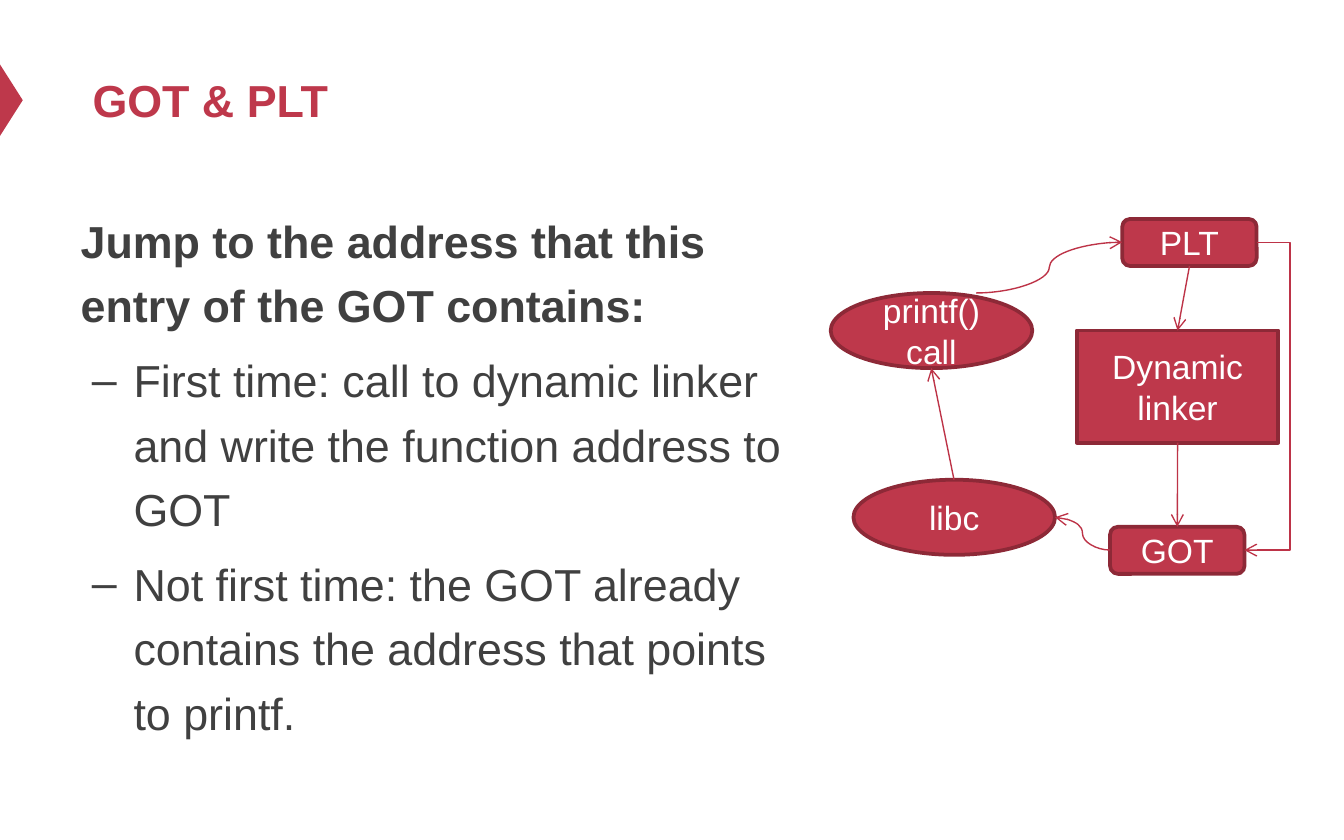
from lxml import etree
from pptx import Presentation
from pptx.dml.color import RGBColor
from pptx.enum.shapes import MSO_CONNECTOR, MSO_SHAPE
from pptx.enum.text import MSO_ANCHOR, MSO_AUTO_SIZE, PP_ALIGN
from pptx.oxml.ns import qn
from pptx.util import Cm, Pt

OVAL, ROUND = MSO_SHAPE.OVAL, MSO_SHAPE.ROUNDED_RECTANGLE
RECT, TRIANGLE = MSO_SHAPE.RECTANGLE, MSO_SHAPE.ISOSCELES_TRIANGLE
STRAIGHT, CURVE, ELBOW = MSO_CONNECTOR.STRAIGHT, MSO_CONNECTOR.CURVE, MSO_CONNECTOR.ELBOW
TOP, MIDDLE = MSO_ANCHOR.TOP, MSO_ANCHOR.MIDDLE
LEFT, CENTER = PP_ALIGN.LEFT, PP_ALIGN.CENTER
FIXED = MSO_AUTO_SIZE.NONE


def color(text):
    return RGBColor.from_string(text)


class Deck:
    face = "Arial"
    red, edge, wire = "BE384B", "8D2937", "BD3347"
    dark, white = "404040", "FFFFFF"

    def __init__(self, width, height):
        self.file = Presentation()
        self.file.slide_width, self.file.slide_height = Cm(width), Cm(height)
        self.slide = self.file.slides.add_slide(self.file.slide_layouts[1])

    def style(self, para, size, tone, bold=False):
        font = para.font
        font.name, font.size, font.bold = self.face, Pt(size), bold
        font.color.rgb = color(tone)

    def place(self, shape, box, anchor):
        shape.left, shape.top, shape.width, shape.height = map(Cm, box)
        frame = shape.text_frame
        frame.word_wrap, frame.auto_size = True, FIXED
        frame.vertical_anchor = anchor
        return frame

    def title(self, text, box):
        frame = self.place(self.slide.shapes.title, box, MIDDLE)
        frame.margin_left = Cm(0.48)
        frame.text = text
        para = frame.paragraphs[0]
        para.alignment = LEFT
        self.style(para, 24, self.red, True)

    def body(self, head, items, box):
        frame = self.place(self.slide.placeholders[1], box, TOP)
        frame.text = "\n".join([head, *items])
        for i, para in enumerate(frame.paragraphs):
            props = para._p.get_or_add_pPr()
            props.set("marL", str(Cm(1) if i else 0))
            props.set("indent", str(Cm(-0.79) if i else 0))
            if i:
                para.level = 1
                etree.SubElement(props, qn("a:buChar")).set("char", "–")
            else:
                etree.SubElement(props, qn("a:buNone"))
            para.alignment = LEFT
            para.line_spacing = 1.2
            para.space_before = Pt(5.5 if i else 0)
            self.style(para, 24, self.dark, i == 0)

    def shape(self, kind, box):
        shape = self.slide.shapes.add_shape(kind, *map(Cm, box))
        shape.shadow.inherit = False
        shape.fill.solid()
        shape.fill.fore_color.rgb = color(self.red)
        return shape

    def marker(self, box):
        shape = self.shape(TRIANGLE, box)
        shape.rotation = 90
        shape.line.fill.background()

    def node(self, kind, text, box):
        shape = self.shape(kind, box)
        shape.line.color.rgb = color(self.edge)
        shape.line.width = Pt(2)
        frame = shape.text_frame
        frame.word_wrap, frame.vertical_anchor = True, MIDDLE
        frame.text = text
        para = frame.paragraphs[0]
        para.alignment = CENTER
        self.style(para, 18, self.white)
        return shape

    def arrow(self, kind, start, end, bend=None):
        link = self.slide.shapes.add_connector(kind, *map(Cm, (*start, *end)))
        link.line.color.rgb = color(self.wire)
        link.line.width = Pt(0.75)
        props = link._element.spPr
        etree.SubElement(props.find(qn("a:ln")), qn("a:tailEnd")).set("type", "arrow")
        etree.SubElement(props, qn("a:effectLst"))
        if bend is not None:
            guide = etree.SubElement(props.find(qn("a:prstGeom")).find(qn("a:avLst")), qn("a:gd"))
            guide.set("name", "adj1")
            guide.set("fmla", f"val {round(bend * 100000)}")
        return link

    def join(self, first, last):
        link = self.arrow(STRAIGHT, (0, 0), (1, 1))
        link.begin_connect(first, 2)
        link.end_connect(last, 0)


def main():
    deck = Deck(25.4, 15.88)
    deck.marker((-0.46, 1.68, 1.35, 0.43))
    deck.title("GOT & PLT", (1.27, 0.64, 22.86, 2.49))
    deck.body(
        "Jump to the address that this entry of the GOT contains:",
        [
            "First time: call to dynamic linker and write the function address to GOT",
            "Not first time: the GOT already contains the address that points to printf.",
        ],
        (1.27, 3.71, 14.02, 10.46),
    )

    deck.node(OVAL, "printf() call", (15.7, 5.54, 3.81, 1.42))
    plt = deck.node(ROUND, "PLT", (21.21, 4.14, 2.54, 0.89))
    got = deck.node(ROUND, "GOT", (20.98, 9.96, 2.54, 0.89))
    deck.node(OVAL, "libc", (16.13, 9.07, 3.81, 1.42))
    linker = deck.node(RECT, "Dynamic linker", (20.35, 6.25, 3.81, 2.12))

    deck.arrow(CURVE, (18.45, 5.54), (21.21, 4.58))
    deck.arrow(CURVE, (20.98, 10.4), (19.94, 9.78))
    deck.arrow(STRAIGHT, (18.03, 9.07), (17.6, 6.96))
    deck.join(plt, linker)
    deck.join(linker, got)
    deck.arrow(ELBOW, (23.75, 4.58), (23.52, 10.4), -2.74)
    deck.file.save("out.pptx")


if __name__ == "__main__":
    main()
